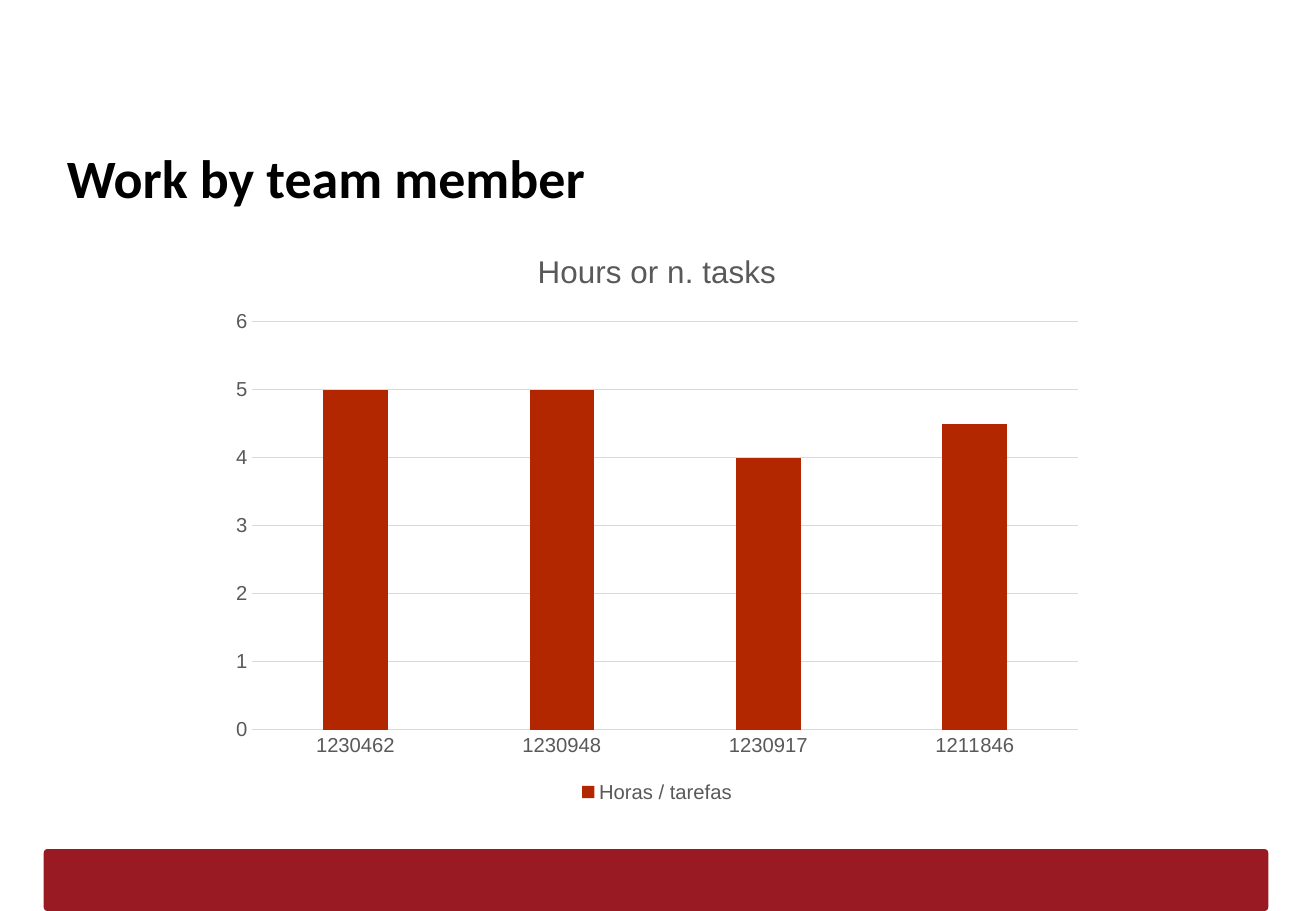
import pptx
import pptx.chart.data
import pptx.dml.color
import pptx.enum.chart
import pptx.enum.shapes
import pptx.enum.text
import pptx.util

Pt = pptx.util.Pt
RGBColor = pptx.dml.color.RGBColor

BLACK = RGBColor(0x00, 0x00, 0x00)
GREY = RGBColor(0x59, 0x59, 0x59)
GRID = RGBColor(0xD9, 0xD9, 0xD9)
BAR = RGBColor(0xB2, 0x26, 0x00)
FOOTER = RGBColor(0x9A, 0x1A, 0x24)

HOURS = {"1230462": 5, "1230948": 5, "1230917": 4, "1211846": 4.5}


def style_font(font, name, size, color, bold=False):
    font.name = name
    font.size = Pt(size)
    font.bold = bold
    font.color.rgb = color


def style_line(line):
    line.color.rgb = GRID
    line.width = Pt(0.75)


def add_footer(s):
    sp = s.shapes.add_shape(
        pptx.enum.shapes.MSO_SHAPE.ROUNDED_RECTANGLE,
        Pt(25.9), Pt(503.3), Pt(725.8), Pt(36.7))
    sp.adjustments[0] = 0.06
    sp.shadow.inherit = False
    sp.fill.solid()
    sp.fill.fore_color.rgb = FOOTER
    sp.line.fill.background()


def set_title(s, text):
    sp = s.shapes.title
    sp.left, sp.top, sp.width, sp.height = Pt(32.4), Pt(78.5), Pt(712), Pt(45.4)
    tf = sp.text_frame
    tf.margin_left = tf.margin_right = tf.margin_top = tf.margin_bottom = Pt(7.2)
    tf.auto_size = pptx.enum.text.MSO_AUTO_SIZE.NONE
    tf.vertical_anchor = pptx.enum.text.MSO_ANCHOR.TOP
    p = tf.paragraphs[0]
    p.alignment = pptx.enum.text.PP_ALIGN.LEFT
    r = p.add_run()
    r.text = text
    style_font(r.font, "Calibri", 32, BLACK, True)


def style_axis(axis):
    axis.major_tick_mark = pptx.enum.chart.XL_TICK_MARK.NONE
    axis.minor_tick_mark = pptx.enum.chart.XL_TICK_MARK.NONE
    style_font(axis.tick_labels.font, "Arial", 12, GREY)


def add_hours_chart(s, title, series_name, hours):
    data = pptx.chart.data.CategoryChartData()
    data.categories = list(hours)
    data.add_series(series_name, list(hours.values()))
    chart = s.shapes.add_chart(
        pptx.enum.chart.XL_CHART_TYPE.COLUMN_CLUSTERED,
        Pt(129.6), Pt(134.6), Pt(519.8), Pt(344.2), data).chart
    style_font(chart.font, "Arial", 10, BLACK)

    chart.has_title = True
    r = chart.chart_title.text_frame.paragraphs[0].add_run()
    r.text = title
    style_font(r.font, "Arial", 18.6, GREY)
    chart.chart_title.include_in_layout = False

    chart.has_legend = True
    chart.legend.position = pptx.enum.chart.XL_LEGEND_POSITION.BOTTOM
    chart.legend.include_in_layout = False
    style_font(chart.legend.font, "Arial", 12, GREY)

    style_axis(chart.category_axis)
    style_line(chart.category_axis.format.line)
    value_axis = chart.value_axis
    style_axis(value_axis)
    value_axis.minimum_scale = 0
    value_axis.maximum_scale = 6
    value_axis.major_unit = 1
    value_axis.format.line.fill.background()
    style_line(value_axis.major_gridlines.format.line)

    plot = chart.plots[0]
    plot.gap_width = 219
    plot.overlap = -27
    plot.vary_by_categories = False
    fill = plot.series[0].format.fill
    fill.solid()
    fill.fore_color.rgb = BAR


def main():
    prs = pptx.Presentation()
    prs.slide_width = Pt(780)
    prs.slide_height = Pt(540)
    s = prs.slides.add_slide(prs.slide_layouts[5])
    add_footer(s)
    set_title(s, "Work by team member")
    add_hours_chart(s, "Hours or n. tasks", "Horas / tarefas", HOURS)
    prs.save("out.pptx")


if __name__ == "__main__":
    main()
